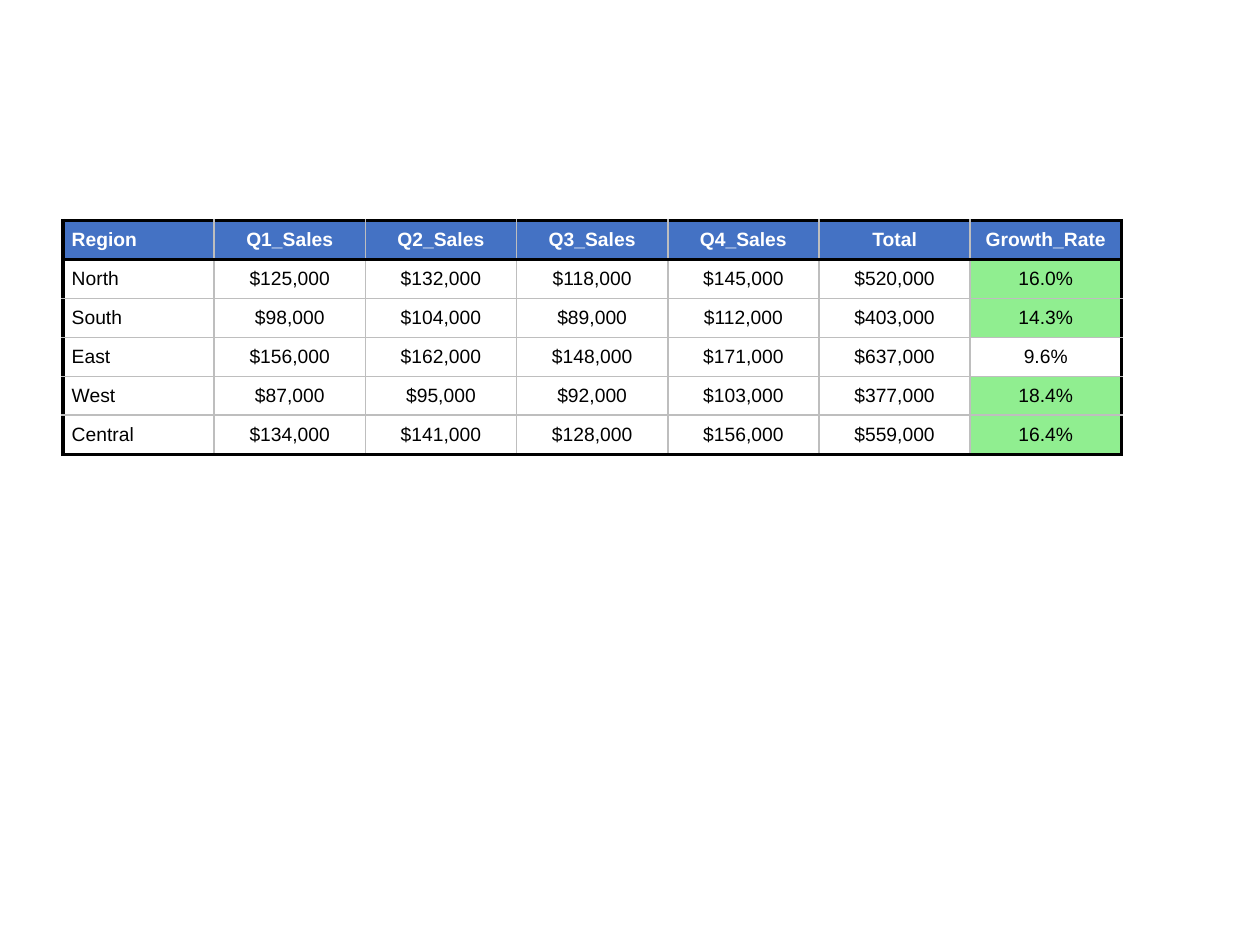
from lxml.etree import SubElement
from pptx import Presentation
from pptx.dml.color import RGBColor
from pptx.enum.text import MSO_ANCHOR, PP_ALIGN
from pptx.oxml.ns import qn
from pptx.util import Pt

PADDING = Pt(5)
HEADER_FILL, HIGHLIGHT, WHITE, BLACK, GREY = "4472C4", "90EE90", "FFFFFF", "000000", "BEBEBE"
OUTER, INNER = (BLACK, 2), (GREY, 1)
HIGH_GROWTH = 10

SALES = [
    ("Region", "Q1_Sales", "Q2_Sales", "Q3_Sales", "Q4_Sales", "Total", "Growth_Rate"),
    ("North", "$125,000", "$132,000", "$118,000", "$145,000", "$520,000", "16.0%"),
    ("South", "$98,000", "$104,000", "$89,000", "$112,000", "$403,000", "14.3%"),
    ("East", "$156,000", "$162,000", "$148,000", "$171,000", "$637,000", "9.6%"),
    ("West", "$87,000", "$95,000", "$92,000", "$103,000", "$377,000", "18.4%"),
    ("Central", "$134,000", "$141,000", "$128,000", "$156,000", "$559,000", "16.4%"),
]


def color(value):
    return RGBColor.from_string(value)


def write_text(cell, text, *, size=11, font="Arial", fill=BLACK, bold=False, align=PP_ALIGN.LEFT):
    cell.vertical_anchor = MSO_ANCHOR.MIDDLE
    cell.margin_left = cell.margin_right = 0
    cell.margin_top = cell.margin_bottom = PADDING
    paragraph = cell.text_frame.paragraphs[0]
    paragraph.alignment = align
    paragraph.space_before = paragraph.space_after = PADDING
    properties = paragraph._p.get_or_add_pPr()
    for side in ("marL", "marR"):
        properties.set(side, str(PADDING))
    run = paragraph.add_run()
    run.text = text
    run.font.size, run.font.name, run.font.bold = Pt(size), font, bold
    run.font.color.rgb = color(fill)


def set_borders(cell, **borders):
    properties = cell._tc.get_or_add_tcPr()
    for side, (line_color, width) in borders.items():
        line = SubElement(properties, qn(f"a:ln{side}"), w=str(Pt(width)))
        fill = SubElement(line, qn("a:solidFill"))
        SubElement(fill, qn("a:srgbClr"), val=line_color)
        SubElement(line, qn("a:prstDash"), val="solid")


def set_fill(cell, fill):
    if fill is None:
        cell.fill.background()
    else:
        cell.fill.solid()
        cell.fill.fore_color.rgb = color(fill)


def cell_fill(text, is_header, is_rate):
    if is_header:
        return HEADER_FILL
    if is_rate:
        return HIGHLIGHT if float(text.rstrip("%")) > HIGH_GROWTH else WHITE
    return None


def add_sales_table(slide, rows, left, top, width, height):
    last_row, last_column = len(rows) - 1, len(rows[0]) - 1
    shape = slide.shapes.add_table(len(rows), len(rows[0]), left, top, width, height)
    table = shape.table
    table.first_row = table.horz_banding = False
    for column in table.columns:
        column.width = Pt(86.4)
    for row in table.rows:
        row.height = Pt(18)
    # The frame is larger than the grid
    shape.width, shape.height = width, height

    for i, values in enumerate(rows):
        for j, text in enumerate(values):
            cell = table.cell(i, j)
            is_header = i == 0
            write_text(cell, text, fill=WHITE if is_header else BLACK, bold=is_header,
                       align=PP_ALIGN.CENTER if j else PP_ALIGN.LEFT)
            # Heavy lines frame the table and the header row
            set_borders(cell,
                        L=OUTER if j == 0 else INNER,
                        R=OUTER if j == last_column else INNER,
                        T=OUTER if i <= 1 else INNER,
                        B=OUTER if i in (0, last_row) else INNER)
            set_fill(cell, cell_fill(text, is_header, j == last_column))


def main():
    presentation = Presentation()
    presentation.slide_width, presentation.slide_height = Pt(720), Pt(540)
    slide = presentation.slides.add_slide(presentation.slide_layouts[6])
    add_sales_table(slide, SALES, Pt(36), Pt(126), Pt(648), Pt(356.4))
    presentation.save("out.pptx")


if __name__ == "__main__":
    main()
